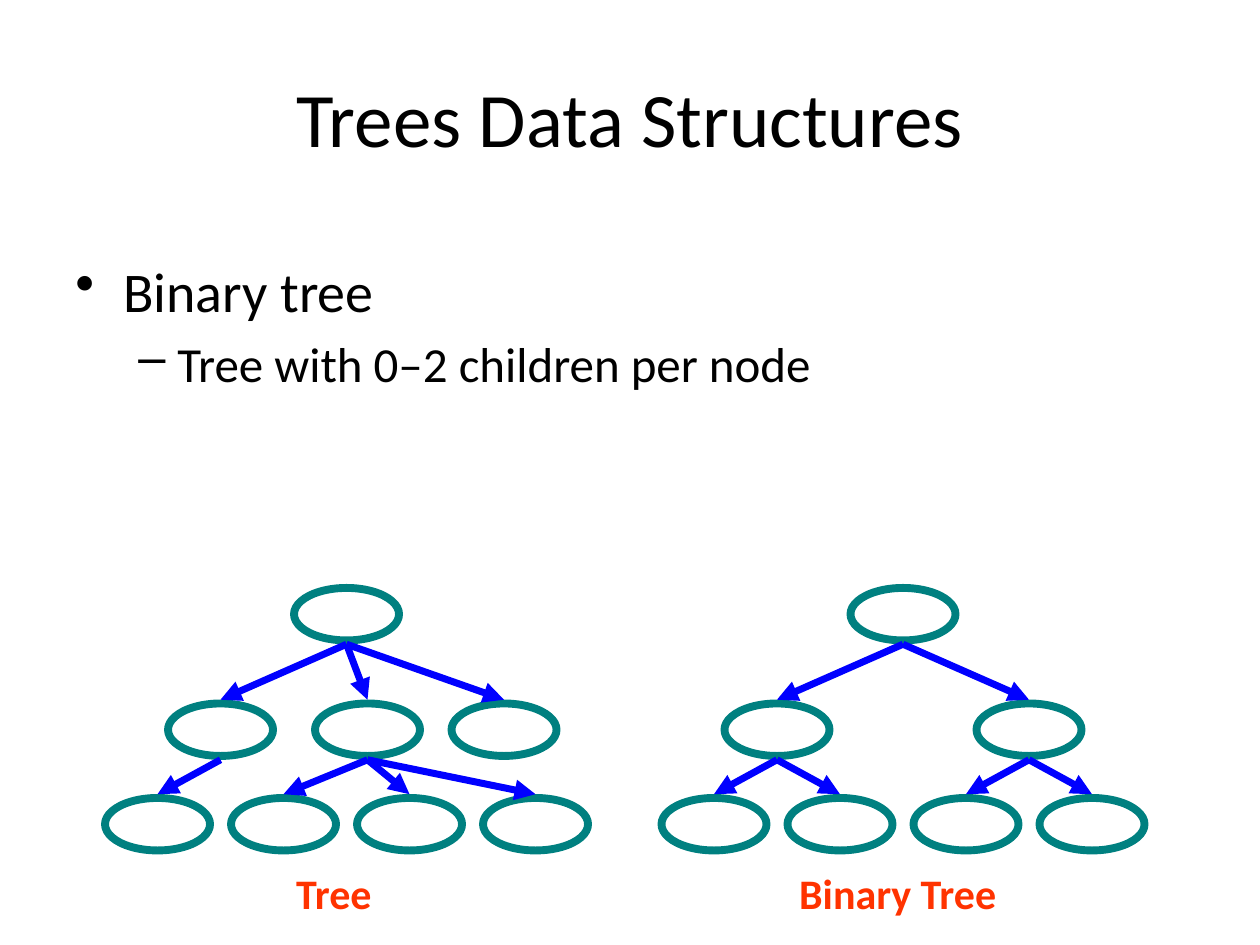
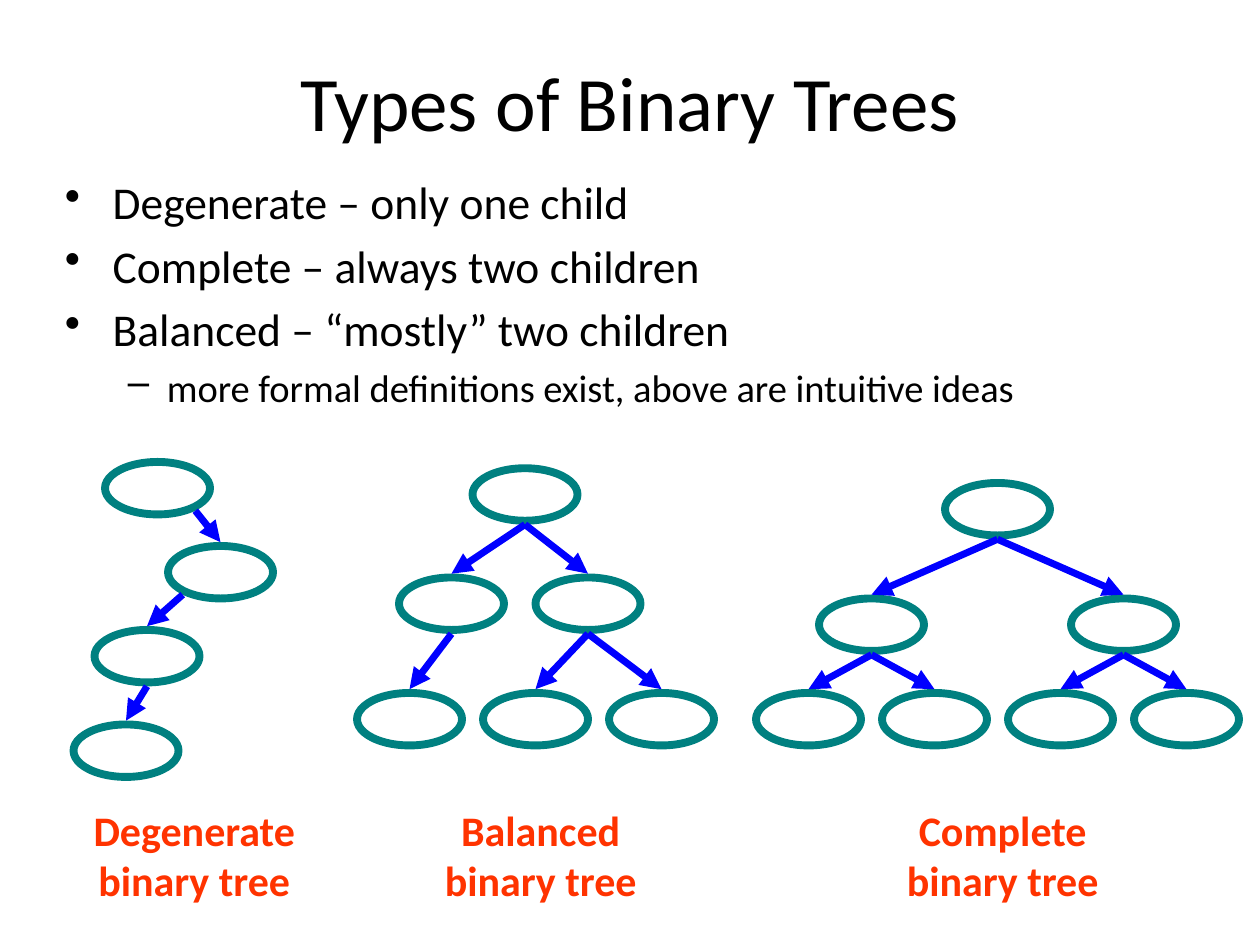
from dataclasses import dataclass

from lxml import etree
from pptx import Presentation
from pptx.dml.color import RGBColor
from pptx.enum.shapes import MSO_CONNECTOR, MSO_SHAPE
from pptx.enum.text import MSO_ANCHOR, PP_ALIGN
from pptx.oxml.ns import qn
from pptx.util import Inches, Pt

OVAL = MSO_SHAPE.OVAL
STRAIGHT = MSO_CONNECTOR.STRAIGHT
MIDDLE, TOP = MSO_ANCHOR.MIDDLE, MSO_ANCHOR.TOP
CENTER, LEFT = PP_ALIGN.CENTER, PP_ALIGN.LEFT

COLS = 120
ROWS = 90
NODE_W, NODE_H = 10, 5
GAP = 0.36
MARKS = (("•", 0.38, 0.38), ("–", 0.81, 0.31))

FULL = (
    [(18, 0), (6, 11), (30, 11), (0, 20), (12, 20), (24, 20), (36, 20)],
    [(0, 1), (0, 2), (1, 3), (1, 4), (2, 5), (2, 6)],
)
MIXED = (
    [(18, 0), (6, 11), (20, 11), (33, 11), (0, 20), (12, 20), (24, 20), (36, 20)],
    [(0, 1), (0, 2), (0, 3), (1, 4), (2, 5), (2, 6), (2, 7)],
)
EVEN = (
    [(11, 0), (4, 10.4), (17, 10.4), (0, 21.4), (12, 21.4), (24, 21.4)],
    [(0, 1), (0, 2), (1, 3), (2, 4), (2, 5)],
)
CHAIN = (
    [(3, 0), (9, 8), (2, 16), (0, 25)],
    [(0, 1, 3.6), (1, 2, -3.6), (2, 3)],
)


@dataclass(frozen=True)
class Theme:
    """Colours, font and type sizes of the deck."""

    font: str = "Calibri"
    ink: RGBColor = RGBColor(0, 0, 0)
    node: RGBColor = RGBColor(0, 0x80, 0x80)
    link: RGBColor = RGBColor(0, 0, 0xFF)
    label: RGBColor = RGBColor(0xFF, 0x33, 0)
    title: int = 44
    note: int = 24
    ring: float = 4.5
    edge: float = 4


THEME = Theme()


def grid(*cells):
    """Turn grid cells into lengths."""
    return [Inches(cell / 12) for cell in cells]


def add_run(para, text, size, color, bold=False):
    """Add one styled run to a paragraph."""
    run = para.add_run()
    run.text = text
    font = run.font
    font.name, font.size, font.bold = THEME.font, Pt(size), bold
    font.color.rgb = color


def add_box(slide, cells, anchor=TOP):
    """Add a wrapping text box and return its frame."""
    frame = slide.shapes.add_textbox(*grid(*cells)).text_frame
    frame.word_wrap = True
    frame.vertical_anchor = anchor
    return frame


def add_line(slide, cells, text, size, color, bold=False, anchor=TOP):
    """Add a centred piece of text."""
    para = add_box(slide, cells, anchor).paragraphs[0]
    para.alignment = CENTER
    add_run(para, text, size, color, bold)


def add_title(slide, text, rows):
    """Add the slide title."""
    add_line(slide, (6, 3.6, 108, rows), text, THEME.title, THEME.ink, anchor=MIDDLE)


def add_label(slide, col, row, text):
    """Add the caption under a tree."""
    add_line(slide, (col, row, 25, 6), text, THEME.note, THEME.label, True)


def add_list(slide, cells, items, sizes):
    """Add a list of (level, text) items with marks by level."""
    frame = add_box(slide, cells)
    for pos, (level, text) in enumerate(items):
        para = frame.add_paragraph() if pos else frame.paragraphs[0]
        para.level, para.alignment = level, LEFT
        size = sizes[level]
        para.space_before = Pt(size * 0.2 if pos else 0)
        mark, left, hang = MARKS[level]
        props = para._p.get_or_add_pPr()
        props.set("marL", str(Inches(left)))
        props.set("indent", str(-Inches(hang)))
        etree.SubElement(props, qn("a:buChar")).set("char", mark)
        add_run(para, text, size, THEME.ink)


def add_node(slide, col, row):
    """Add one hollow tree node."""
    node = slide.shapes.add_shape(OVAL, *grid(col, row, NODE_W, NODE_H))
    node.shadow.inherit = False
    node.fill.background()
    node.line.color.rgb = THEME.node
    node.line.width = Pt(THEME.ring)


def add_link(slide, start, end):
    """Add an arrow between two grid points."""
    link = slide.shapes.add_connector(STRAIGHT, *grid(*start, *end))
    link.line.color.rgb = THEME.link
    link.line.width = Pt(THEME.edge)
    props = link._element.spPr
    etree.SubElement(props.find(qn("a:ln")), qn("a:tailEnd")).set("type", "triangle")
    etree.SubElement(props, qn("a:effectLst"))


def add_tree(slide, col, row, tree):
    """Draw nodes and links from a top left cell; a lean starts off-centre."""
    nodes, links = tree
    spots = [(col + x, row + y) for x, y in nodes]
    for spot in spots:
        add_node(slide, *spot)
    for top, low, *lean in links:
        (x1, y1), (x2, y2) = spots[top], spots[low]
        shift = sum(lean)
        drop = -GAP if lean else GAP
        start = (x1 + NODE_W / 2 + shift, y1 + NODE_H + drop)
        add_link(slide, start, (x2 + NODE_W / 2, y2 - GAP))


def main():
    """Build both slides and save the deck."""
    deck = Presentation()
    deck.slide_width, deck.slide_height = grid(COLS, ROWS)
    blank = deck.slide_layouts[6]

    slide = deck.slides.add_slide(blank)
    add_title(slide, "Trees Data Structures", 15)
    items = [(0, "Binary tree"), (1, "Tree with 0–2 children per node")]
    add_list(slide, (6, 23.8, 108, 63), items, (32, 28))
    add_tree(slide, 63, 56, FULL)
    add_tree(slide, 10, 56, MIXED)
    add_label(slide, 19.3, 82, "Tree")
    add_label(slide, 73, 82, "Binary Tree")

    slide = deck.slides.add_slide(blank)
    add_title(slide, "Types of Binary Trees", 12)
    items = [
        (0, "Degenerate – only one child"),
        (0, "Complete – always two children"),
        (0, "Balanced – “mostly” two children"),
        (1, "more formal definitions exist, above are intuitive ideas"),
    ]
    add_list(slide, (5, 16, 115, 64), items, (26, 22))
    add_tree(slide, 72, 46, FULL)
    add_tree(slide, 7, 44, CHAIN)
    add_tree(slide, 34, 44.6, EVEN)
    for col, kind in ((6, "Degenerate"), (39, "Balanced"), (83, "Complete")):
        add_label(slide, col, 76, f"{kind} binary tree")

    deck.save("out.pptx")


if __name__ == "__main__":
    main()
